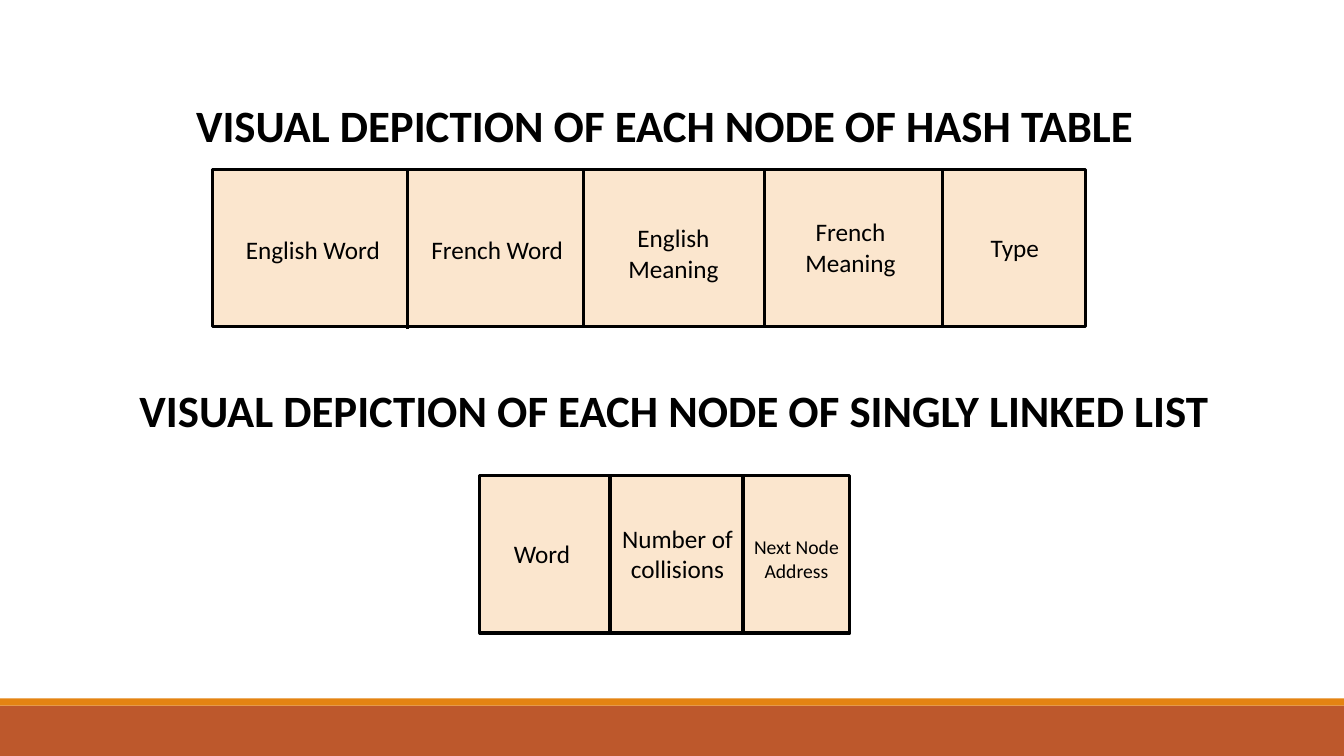
from dataclasses import dataclass

from lxml import etree
from pptx import Presentation
from pptx.dml.color import RGBColor
from pptx.enum.shapes import MSO_CONNECTOR, MSO_SHAPE
from pptx.enum.text import MSO_AUTO_SIZE, PP_ALIGN
from pptx.oxml.ns import qn
from pptx.slide import Slide
from pptx.util import Inches, Pt

RECT = MSO_SHAPE.RECTANGLE
LINE = MSO_CONNECTOR.STRAIGHT
LEFT, CENTER = PP_ALIGN.LEFT, PP_ALIGN.CENTER
FIT = MSO_AUTO_SIZE.SHAPE_TO_FIT_TEXT

BLACK = RGBColor(0x00, 0x00, 0x00)
CREAM = RGBColor(0xFB, 0xE6, 0xCE)
RUST = RGBColor(0xBD, 0x58, 0x2C)
ORANGE = RGBColor(0xE4, 0x83, 0x12)

WIDTH, HEIGHT = 13.33, 7.5
DEPTH = 1.56
STROKE = Pt(2.25)


@dataclass(frozen=True)
class Box:
    left: float
    top: float
    width: float
    height: float


@dataclass(frozen=True)
class Label:
    text: str
    box: Box
    size: int = 18
    bold: bool = False
    align: PP_ALIGN = CENTER


@dataclass(frozen=True)
class Rule:
    x: float
    drop: float = 0


@dataclass(frozen=True)
class Node:
    left: float
    top: float
    width: float
    rules: tuple[Rule, ...]
    title: Label
    fields: tuple[Label, ...]


HASH = Node(
    2.11, 1.68, 8.66,
    (Rule(4.04, 0.02), Rule(5.79), Rule(7.58), Rule(9.35)),
    Label("VISUAL DEPICTION OF EACH NODE OF HASH TABLE",
          Box(1.72, 0.92, 9.75, 0.64), 32, True),
    (
        Label("English Word", Box(2.34, 2.28, 1.54, 0.4), align=LEFT),
        Label("French Word", Box(4.18, 2.28, 1.52, 0.4), align=LEFT),
        Label("English Meaning", Box(5.85, 2.16, 1.66, 0.71)),
        Label("French Meaning", Box(7.83, 2.1, 1.21, 0.71)),
        Label("Type", Box(9.67, 2.26, 0.79, 0.4)),
    ),
)
LIST = Node(
    4.76, 4.72, 3.67,
    (Rule(6.05), Rule(7.37)),
    Label("VISUAL DEPICTION OF EACH NODE OF SINGLY LINKED LIST ",
          Box(1.26, 3.75, 10.96, 0.64), 32, True),
    (
        Label("Word", Box(4.9, 5.29, 0.95, 0.4)),
        Label("Number of collisions", Box(5.95, 5.14, 1.54, 0.71)),
        Label("Next Node Address", Box(7.13, 5.26, 1.54, 0.57), 14),
    ),
)


def place(box: Box) -> tuple[Inches, Inches, Inches, Inches]:
    return (Inches(box.left), Inches(box.top),
            Inches(box.width), Inches(box.height))


def add_rect(slide: Slide, box: Box, fill: RGBColor, edge: bool = False) -> None:
    rect = slide.shapes.add_shape(RECT, *place(box))
    rect.shadow.inherit = False
    rect.fill.solid()
    rect.fill.fore_color.rgb = fill
    if edge:
        rect.line.color.rgb = BLACK
        rect.line.width = STROKE
    else:
        rect.line.fill.background()


def add_rule(slide: Slide, rule: Rule, top: float) -> None:
    x, y = Inches(rule.x), top + rule.drop
    line = slide.shapes.add_connector(LINE, x, Inches(y), x, Inches(y + DEPTH))
    line.line.color.rgb = BLACK
    line.line.width = STROKE
    etree.SubElement(line._element.spPr, qn("a:effectLst"))


def add_label(slide: Slide, label: Label) -> None:
    frame = slide.shapes.add_textbox(*place(label.box)).text_frame
    frame.word_wrap = True
    frame.auto_size = FIT
    para = frame.paragraphs[0]
    para.text = label.text
    para.alignment = label.align
    font = para.font
    font.name = "Calibri"
    font.size = Pt(label.size)
    font.bold = label.bold
    font.color.rgb = BLACK


def add_node(slide: Slide, node: Node) -> None:
    add_rect(slide, Box(node.left, node.top, node.width, DEPTH), CREAM, True)
    for rule in node.rules:
        add_rule(slide, rule, node.top)
    for label in (node.title, *node.fields):
        add_label(slide, label)


def main() -> None:
    deck = Presentation()
    deck.slide_width, deck.slide_height = Inches(WIDTH), Inches(HEIGHT)
    slide = deck.slides.add_slide(deck.slide_layouts[6])
    add_rect(slide, Box(0, 7, WIDTH, 0.5), RUST)
    add_rect(slide, Box(0, 6.93, WIDTH, 0.07), ORANGE)
    for node in (HASH, LIST):
        add_node(slide, node)
    deck.save("out.pptx")


if __name__ == "__main__":
    main()
